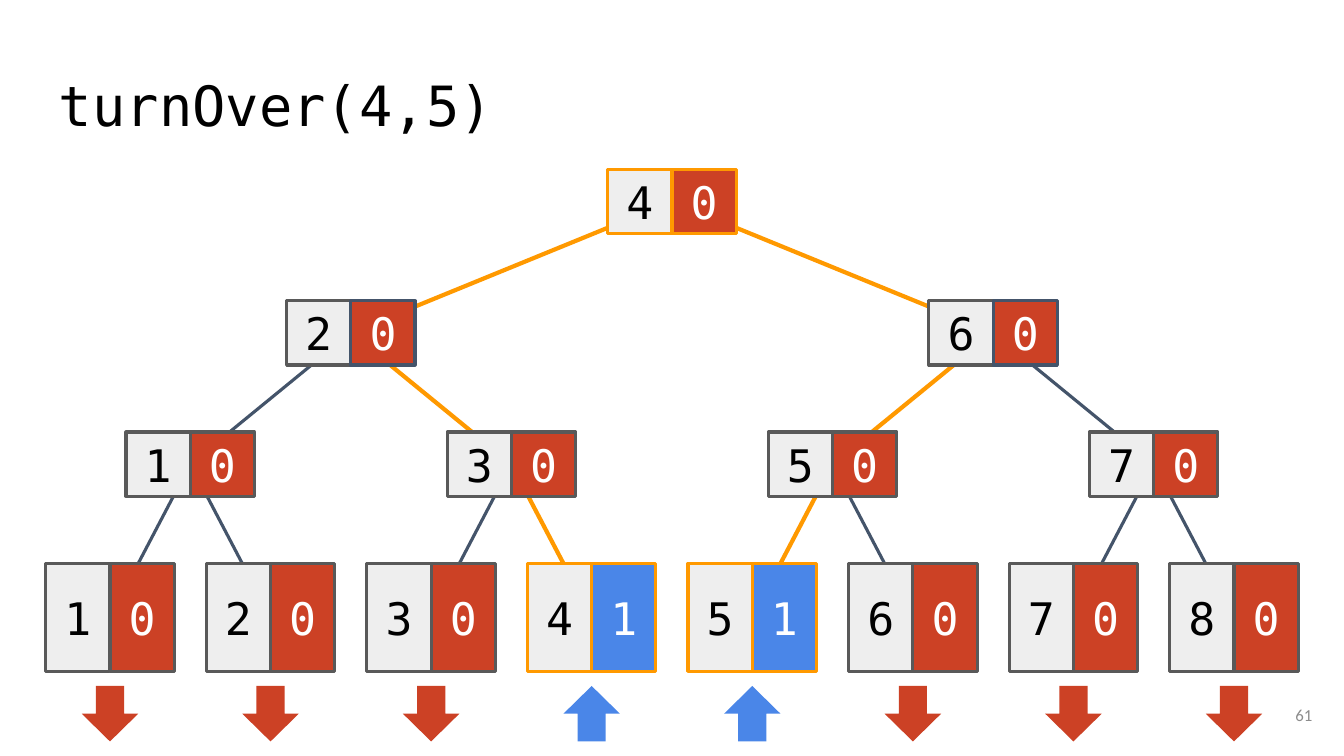
from lxml import etree
from pptx import Presentation
from pptx.dml.color import RGBColor
from pptx.enum.shapes import MSO_CONNECTOR, MSO_SHAPE
from pptx.enum.text import MSO_ANCHOR, MSO_AUTO_SIZE, PP_ALIGN
from pptx.oxml.ns import qn
from pptx.util import Pt

LINE = MSO_CONNECTOR.STRAIGHT
RECT, ARROW = MSO_SHAPE.RECTANGLE, MSO_SHAPE.UP_ARROW
TOP, MIDDLE = MSO_ANCHOR.TOP, MSO_ANCHOR.MIDDLE
LEFT, CENTER, RIGHT = PP_ALIGN.LEFT, PP_ALIGN.CENTER, PP_ALIGN.RIGHT
NO_FIT = MSO_AUTO_SIZE.NONE

MONO, SANS = "DejaVu Sans Mono", "Calibri"
BLACK, WHITE, PALE = "000000", "FFFFFF", "EEEEEE"
GRAY, SLATE, NUMBER_GRAY = "595959", "44546A", "8C8C8C"
ORANGE, RED, BLUE = "FF9900", "CC4125", "4A86E8"

LEVELS = 4
LEAF_LEVEL = LEVELS - 1
TURNED = {4, 5}
CELL, LEAF_HEIGHT = 45.9, 77.2
ARROW_W, ARROW_H, ARROW_GAP = 40.3, 39.6, 10.4


def rgb(color):
    return RGBColor.from_string(color)


def write(s, text, size, font, color, align, anchor, inset):
    tf = s.text_frame
    tf.auto_size, tf.word_wrap, tf.vertical_anchor = NO_FIT, True, anchor
    tf.margin_left = tf.margin_right = Pt(inset)
    tf.margin_top = tf.margin_bottom = Pt(inset)
    p = tf.paragraphs[0]
    p.alignment = align
    r = p.add_run()
    r.text = text
    r.font.size, r.font.name = Pt(size), font
    r.font.color.rgb = rgb(color)
    return p


def add_title(slide, left, top, width, height):
    s = slide.shapes.title
    s.left, s.top, s.width, s.height = Pt(left), Pt(top), Pt(width), Pt(height)
    p = write(s, "turnOver(4,5)", 39.6, MONO, BLACK, LEFT, TOP, 9.4)
    p.line_spacing = 0.9


def add_slide_number(slide, left, top, width, height):
    s = slide.shapes.add_textbox(Pt(left), Pt(top), Pt(width), Pt(height))
    write(s, "61", 12, SANS, NUMBER_GRAY, RIGHT, MIDDLE, 9.4)


def add_shape(slide, kind, left, top, width, height, fill, line=None):
    s = slide.shapes.add_shape(kind, Pt(left), Pt(top), Pt(width), Pt(height))
    s.shadow.inherit = False
    s.fill.solid()
    s.fill.fore_color.rgb = rgb(fill)
    if line:
        s.line.color.rgb = rgb(line)
        s.line.width = Pt(2.25)
    else:
        s.line.fill.background()
    return s


def add_edge(slide, start, end, highlighted):
    s = slide.shapes.add_connector(LINE, *(Pt(v) for v in (*start, *end)))
    s.line.color.rgb = rgb(ORANGE if highlighted else SLATE)
    s.line.width = Pt(3 if highlighted else 2.25)
    etree.SubElement(s._element.spPr, qn("a:effectLst"))


def add_node(slide, x, y, height, label, value, label_line, value_line):
    """Draw a label cell and a value cell that meet at the centre (x, y)."""
    cells = ((x - CELL, label, PALE, BLACK, label_line),
             (x, value, BLUE if value else RED, WHITE, value_line))
    for left, number, fill, color, line in cells:
        s = add_shape(slide, RECT, left, y - height / 2, CELL, height, fill, line)
        write(s, str(number), 32, MONO, color, CENTER, MIDDLE, 0)


def add_tree(slide, left, top, width, row_step):
    def leaf_span(level):
        return 2 ** (LEAF_LEVEL - level)

    def height(level):
        return LEAF_HEIGHT if level == LEAF_LEVEL else CELL

    def center(level, i):
        x = left + width * (i + 0.5) / 2 ** level
        return x, top + row_step * level + height(level) / 2

    def holds_turned(level, i):
        span = leaf_span(level)
        return any(i * span < leaf <= (i + 1) * span for leaf in TURNED)

    nodes = [(level, i) for level in range(LEVELS) for i in range(2 ** level)]
    for level, i in nodes[1:]:
        add_edge(slide, center(level - 1, i // 2), center(level, i),
                 holds_turned(level, i))

    for level, i in nodes:
        x, y = center(level, i)
        span = leaf_span(level)
        is_leaf = level == LEAF_LEVEL
        label = i + 1 if is_leaf else i * span + span // 2
        turned = is_leaf and label in TURNED
        label_line = ORANGE if turned or level == 0 else GRAY
        value_line = SLATE if level == 1 else label_line
        add_node(slide, x, y, height(level), label, int(turned),
                 label_line, value_line)
        if is_leaf:
            s = add_shape(slide, ARROW, x - ARROW_W / 2,
                          y + LEAF_HEIGHT / 2 + ARROW_GAP, ARROW_W, ARROW_H,
                          BLUE if turned else RED)
            s.rotation = 0 if turned else 180


def main():
    prs = Presentation()
    prs.slide_width, prs.slide_height = Pt(960), Pt(540)
    slide = prs.slides.add_slide(prs.slide_layouts[5])
    add_title(slide, 32.7, 46.7, 894.5, 60.1)
    add_slide_number(slide, 889.2, 489.6, 57.6, 41.3)
    add_tree(slide, 21.2, 121, 917.6, 93.8)
    prs.save("out.pptx")


if __name__ == "__main__":
    main()
